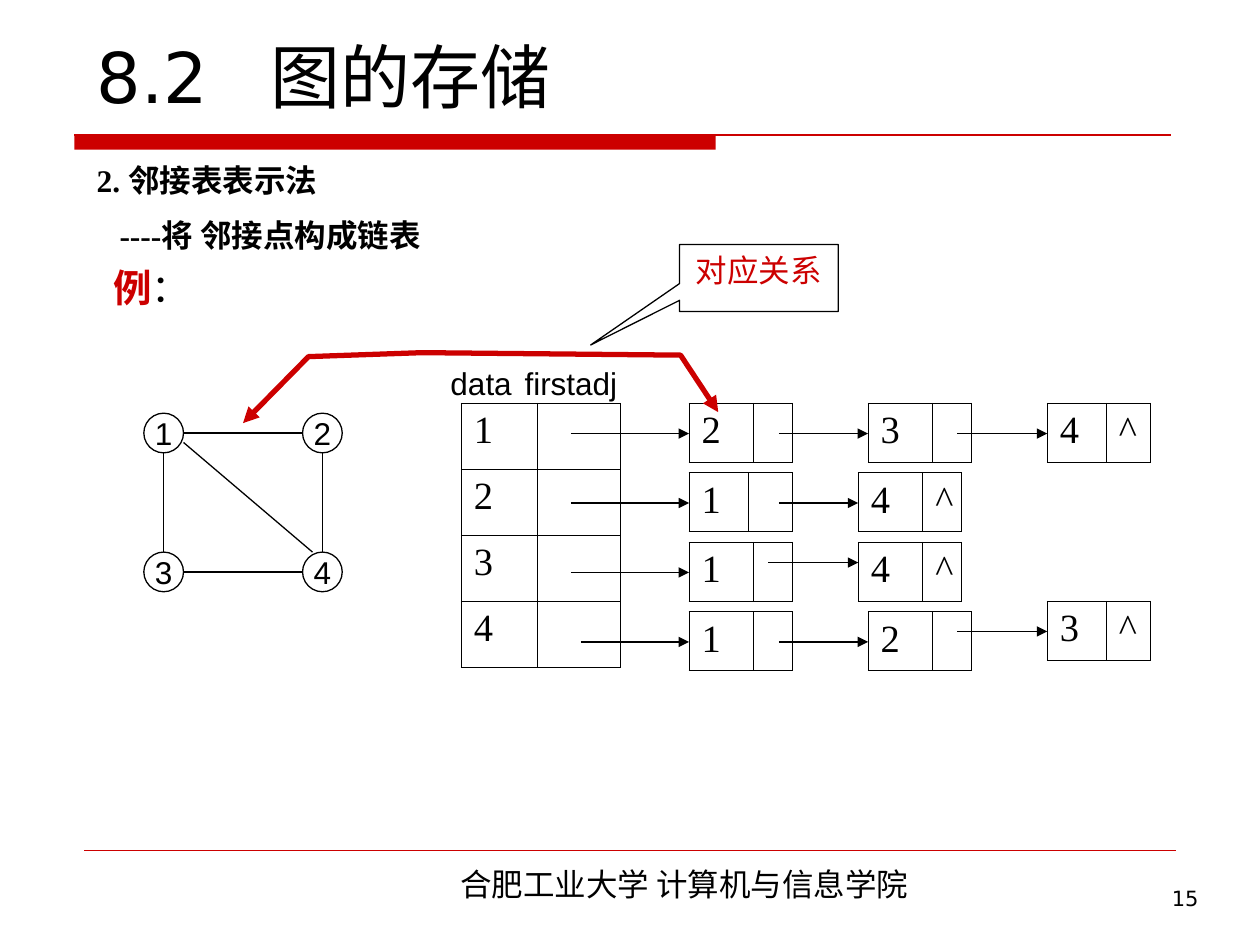
from dataclasses import dataclass

from lxml.etree import SubElement
from pptx import Presentation
from pptx.dml.color import RGBColor
from pptx.enum.shapes import MSO_CONNECTOR, MSO_SHAPE
from pptx.enum.text import MSO_ANCHOR, PP_ALIGN
from pptx.oxml.ns import qn
from pptx.util import Cm, Pt

COLORS = {"black": "000000", "red": "CC0000"}
SANS, SERIF, TITLE, CHINESE = "Arial", "Times New Roman", "DejaVu Sans", "Noto Sans CJK SC"
ROW_TOPS = [8.13 + 1.4 * row for row in range(4)]
NODE_HEIGHT, NODE_WIDTH = 1.18, 2.09


@dataclass
class TextRun:
    text: str
    size: float = 18
    font: str = SANS
    color: str = "black"
    bold: bool = False


@dataclass
class TextLine:
    runs: list[TextRun]
    align: PP_ALIGN = PP_ALIGN.LEFT
    space_before: float = 0
    indent: float = 0
    tab: float | None = None


@dataclass
class ListNode:
    """One box of an adjacency list with the arrow that leads to it."""
    left: float
    top: float
    value: str
    arrow_start: float
    arrow_drop: float = 0.61
    value_width: float = 1.3
    last: bool = False


def rgb(name: str) -> RGBColor:
    return RGBColor.from_string(COLORS[name])


def write_lines(frame, lines: list[TextLine]) -> None:
    for index, line in enumerate(lines):
        paragraph = frame.paragraphs[0] if index == 0 else frame.add_paragraph()
        paragraph.alignment = line.align
        if line.space_before:
            paragraph.space_before = Pt(line.space_before)
        properties = paragraph._p.get_or_add_pPr()
        if line.indent:
            properties.set("marL", str(Cm(line.indent)))
            properties.set("indent", "0")
        if line.tab is not None:
            tabs = SubElement(properties, qn("a:tabLst"))
            SubElement(tabs, qn("a:tab"), pos=str(Cm(line.tab)), algn="l")
        for item in line.runs:
            run = paragraph.add_run()
            run.text = item.text
            run.font.size = Pt(item.size)
            run.font.name = item.font
            run.font.bold = item.bold
            run.font.color.rgb = rgb(item.color)
            SubElement(run._r.get_or_add_rPr(), qn("a:ea"), typeface=CHINESE)


def add_text(slide, left: float, top: float, width: float, height: float,
             lines: list[TextLine], anchor=MSO_ANCHOR.TOP, wrap: bool = True) -> None:
    box = slide.shapes.add_textbox(Cm(left), Cm(top), Cm(width), Cm(height))
    box.text_frame.word_wrap = wrap
    box.text_frame.vertical_anchor = anchor
    write_lines(box.text_frame, lines)


def style_outline(shape, color: str, width: float) -> None:
    shape.shadow.inherit = False
    shape.fill.background()
    shape.line.color.rgb = rgb(color)
    shape.line.width = Pt(width)


def add_outlined_text(slide, kind: MSO_SHAPE, left: float, top: float, width: float,
                      height: float, run: TextRun, anchor, wrap: bool):
    shape = slide.shapes.add_shape(kind, Cm(left), Cm(top), Cm(width), Cm(height))
    style_outline(shape, "black", 0.75)
    shape.text_frame.word_wrap = wrap
    shape.text_frame.vertical_anchor = anchor
    write_lines(shape.text_frame, [TextLine([run], PP_ALIGN.CENTER)])
    return shape


def add_line(slide, start: tuple[float, float], end: tuple[float, float],
             color: str = "black", width: float = 0.75, arrow: bool = False) -> None:
    line = slide.shapes.add_connector(MSO_CONNECTOR.STRAIGHT, Cm(start[0]), Cm(start[1]),
                                      Cm(end[0]), Cm(end[1]))
    line.line.color.rgb = rgb(color)
    line.line.width = Pt(width)
    if arrow:
        SubElement(line.line._get_or_add_ln(), qn("a:tailEnd"), type="triangle")
    SubElement(line._element.spPr, qn("a:effectLst"))


def style_cell(cell) -> None:
    """Give a cell thin black borders and no fill."""
    properties = cell._tc.get_or_add_tcPr()
    for side in ("lnL", "lnR", "lnT", "lnB"):
        border = SubElement(properties, qn(f"a:{side}"), w=str(Pt(0.45)))
        fill = SubElement(border, qn("a:solidFill"))
        SubElement(fill, qn("a:srgbClr"), val=COLORS["black"])
    cell.fill.background()


def add_grid(slide, left: float, top: float, widths: list[float], row_height: float,
             rows: list[tuple[str, str]]) -> None:
    frame = slide.shapes.add_table(len(rows), len(widths), Cm(left), Cm(top),
                                   Cm(sum(widths)), Cm(row_height * len(rows)))
    table = frame.table
    table.first_row = table.horz_banding = False
    for column, width in zip(table.columns, widths):
        column.width = Cm(width)
    for row, values in zip(table.rows, rows):
        row.height = Cm(row_height)
        for cell, value in zip(row.cells, values):
            style_cell(cell)
            if value:
                write_lines(cell.text_frame, [TextLine([TextRun(value, 22, SERIF)])])


def add_list_node(slide, node: ListNode) -> None:
    widths = [node.value_width, NODE_WIDTH - node.value_width]
    add_grid(slide, node.left, node.top, widths, NODE_HEIGHT,
             [(node.value, "^" if node.last else "")])
    arrow_y = node.top + node.arrow_drop
    add_line(slide, (node.arrow_start, arrow_y), (node.left, arrow_y), arrow=True)


def add_frame(slide) -> None:
    bar = slide.shapes.add_shape(MSO_SHAPE.RECTANGLE, Cm(1.5), Cm(2.72), Cm(12.93), Cm(0.3))
    bar.shadow.inherit = False
    bar.fill.solid()
    bar.fill.fore_color.rgb = rgb("red")
    bar.line.fill.background()
    add_line(slide, (1.5, 2.72), (23.6, 2.72), "red")
    add_line(slide, (1.7, 17.15), (23.7, 17.15), "red", 0.25)
    add_text(slide, 6.1, 17.32, 15.39, 1.02,
             [TextLine([TextRun("合肥工业大学 计算机与信息学院", font=CHINESE)], PP_ALIGN.CENTER)])
    add_text(slide, 18.9, 17.73, 5.51, 1.32,
             [TextLine([TextRun("15", 12, TITLE)], PP_ALIGN.RIGHT)])


def add_headings(slide) -> None:
    add_text(slide, 1.7, -0.89, 22.23, 3.38,
             [TextLine([TextRun("8.2\t图的存储", 40, TITLE)], tab=3.5)], MSO_ANCHOR.BOTTOM)
    add_text(slide, 1.7, 3.12, 21.62, 13.79, [
        TextLine([TextRun("2. 邻接表表示法", font=SERIF, bold=True)]),
        TextLine([TextRun("----将 邻接点构成链表", font=SERIF, bold=True)],
                 space_before=10, indent=0.46),
        TextLine([TextRun("例", 22, SERIF, "red", True), TextRun("：", 22, SERIF)],
                 space_before=5.5, indent=0.33),
    ])


def add_graph(slide) -> None:
    left, right, top, bottom, radius = 3.3, 6.5, 8.73, 11.53, 0.4
    vertices = {"1": (left, top), "2": (right, top), "3": (left, bottom), "4": (right, bottom)}
    for name, (x, y) in vertices.items():
        add_outlined_text(slide, MSO_SHAPE.OVAL, x - radius, y - radius, 2 * radius, 2 * radius,
                          TextRun(name), MSO_ANCHOR.MIDDLE, False)
    for x in (left, right):
        add_line(slide, (x, top + radius), (x, bottom - radius))
    for y in (top, bottom):
        add_line(slide, (left + radius, y), (right - radius, y))
    add_line(slide, (3.7, 8.92), (6.3, 11.13))


def add_adjacency_lists(slide) -> None:
    add_grid(slide, 9.3, 8.13, [1.53, 1.67], 1.33, [(name, "") for name in "1234"])
    for text, left in (("data", 8.5), ("firstadj", 10.31)):
        add_text(slide, left, 7.12, 2.4, 1.19, [TextLine([TextRun(text)], PP_ALIGN.CENTER)],
                 MSO_ANCHOR.MIDDLE, False)
    first, second, third, fourth = ROW_TOPS
    for node in (
        ListNode(13.89, first, "2", 11.51),
        ListNode(17.5, first, "3", 15.7),
        ListNode(21.11, first, "4", 19.3, value_width=1.19, last=True),
        ListNode(13.89, second, "1", 11.51, value_width=1.19),
        ListNode(17.3, second, "4", 15.7, last=True),
        ListNode(13.89, third, "1", 11.51),
        ListNode(17.3, third, "4", 15.49, arrow_drop=0.41, last=True),
        ListNode(13.89, fourth, "1", 11.71),
        ListNode(17.5, fourth, "2", 15.7),
        ListNode(21.11, 12.12, "3", 19.3, value_width=1.19, last=True),
    ):
        add_list_node(slide, node)


def add_correspondence(slide) -> None:
    start, *bends = [(Cm(x), Cm(y)) for x, y in (
        (4.9, 8.53), (6.22, 7.19), (8.51, 7.11), (13.72, 7.16), (14.48, 8.31))]
    builder = slide.shapes.build_freeform(*start)
    builder.add_line_segments(bends, close=False)
    link = builder.convert_to_shape()
    style_outline(link, "red", 3)
    outline = link.line._get_or_add_ln()
    SubElement(outline, qn("a:round"))
    for end in ("headEnd", "tailEnd"):
        SubElement(outline, qn(f"a:{end}"), type="triangle")
    callout = add_outlined_text(slide, MSO_SHAPE.RECTANGULAR_CALLOUT, 13.7, 4.93, 3.2, 1.35,
                                TextRun("对应关系", color="red"), MSO_ANCHOR.TOP, True)
    callout.adjustments[0], callout.adjustments[1] = -1.06, 1


def main() -> None:
    presentation = Presentation()
    presentation.slide_width, presentation.slide_height = Cm(25.4), Cm(19.05)
    slide = presentation.slides.add_slide(presentation.slide_layouts[6])
    for add_part in (add_frame, add_headings, add_graph, add_adjacency_lists, add_correspondence):
        add_part(slide)
    presentation.save("out.pptx")


if __name__ == "__main__":
    main()
